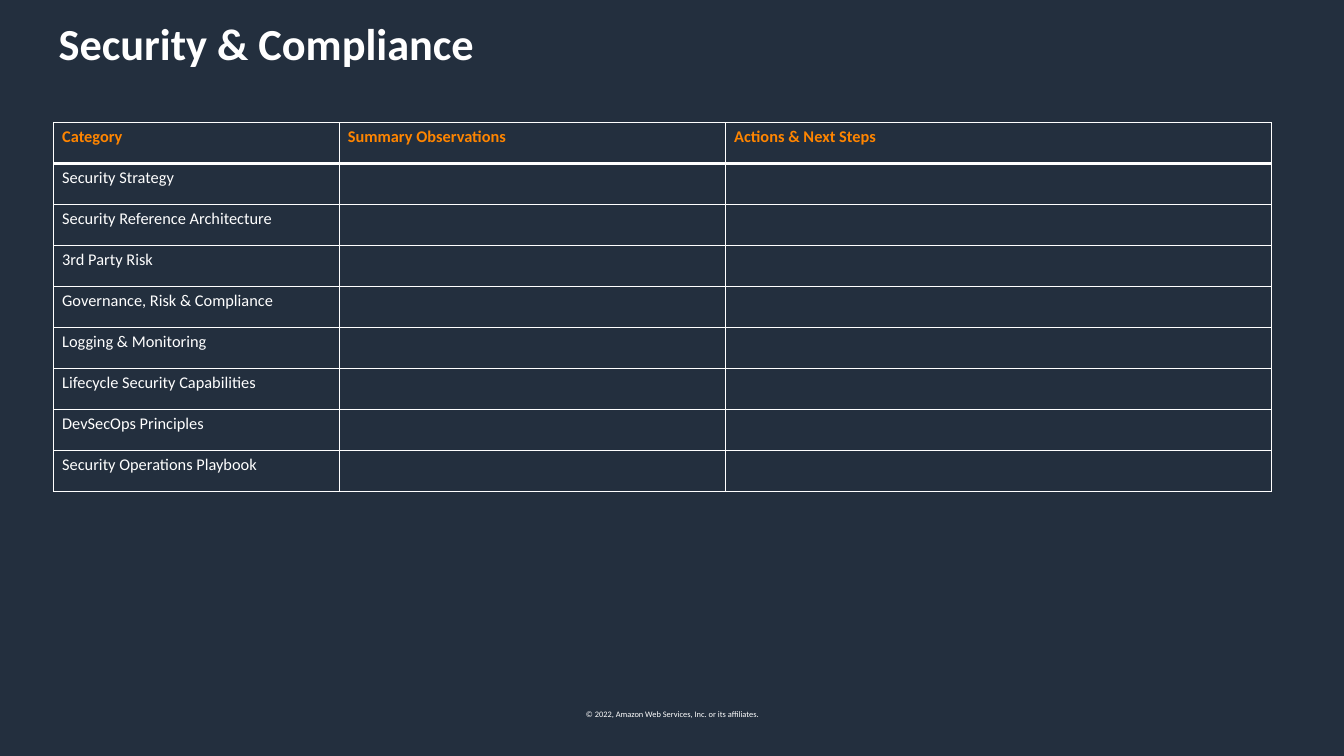
from dataclasses import dataclass

from lxml.etree import SubElement
from pptx import Presentation
from pptx.dml.color import RGBColor
from pptx.enum.text import MSO_ANCHOR, PP_ALIGN
from pptx.oxml.ns import qn
from pptx.util import Inches, Pt


@dataclass(frozen=True)
class Theme:
    font: str = "Calibri"
    back: str = "232F3E"
    ink: str = "FFFFFF"
    accent: str = "FF8500"
    title: float = 38
    body: float = 14
    small: float = 7.2
    thin: float = 1
    thick: float = 3


COLS, ROWS = 160, 90
HEADS = ["Category", "Summary Observations", "Actions & Next Steps"]
TOPICS = [
    "Security Strategy",
    "Security Reference Architecture",
    "3rd Party Risk",
    "Governance, Risk & Compliance",
    "Logging & Monitoring",
    "Lifecycle Security Capabilities",
    "DevSecOps Principles",
    "Security Operations Playbook",
]


def write(frame, text, *, font, size, color, bold=False, align=PP_ALIGN.LEFT):
    para = frame.paragraphs[0]
    para.alignment = align
    run = para.add_run()
    run.text = text
    run.font.name = font
    run.font.size = Pt(size)
    run.font.bold = bold
    run.font.color.rgb = RGBColor.from_string(color)


def edge(cell, side, color, width):
    """Draw one border; side is L, R, T or B, called in that order."""
    props = cell._tc.get_or_add_tcPr()
    line = SubElement(props, qn(f"a:ln{side}"), w=str(Pt(width)))
    fill = SubElement(line, qn("a:solidFill"))
    SubElement(fill, qn("a:srgbClr"), val=color)


class Deck:
    def __init__(self, theme):
        self.theme = theme
        self.file = Presentation()
        self.file.slide_width, self.file.slide_height = Inches(16), Inches(9)
        self.slide = self.file.slides.add_slide(self.file.slide_layouts[6])
        fill = self.slide.background.fill
        fill.solid()
        fill.fore_color.rgb = RGBColor.from_string(theme.back)

    def x(self, cols):
        return round(self.file.slide_width * cols / COLS)

    def y(self, rows):
        return round(self.file.slide_height * rows / ROWS)

    def text(self, left, top, width, height, text, wrap=True, **style):
        box = self.slide.shapes.add_textbox(
            self.x(left), self.y(top), self.x(width), self.y(height))
        frame = box.text_frame
        frame.word_wrap = wrap
        frame.vertical_anchor = MSO_ANCHOR.TOP
        write(frame, text, font=self.theme.font, color=self.theme.ink, **style)

    def table(self, left, top, widths, height, heads, topics):
        look = self.theme
        count = len(topics) + 1
        grid = self.slide.shapes.add_table(
            count, len(widths), self.x(left), self.y(top),
            self.x(sum(widths)), self.y(height * count)).table
        grid.first_row = grid.horz_banding = False
        for col, width in zip(grid.columns, widths):
            col.width = self.x(width)
        for i, row in enumerate(grid.rows):
            row.height = self.y(height)
            words = [topics[i - 1]] if i else heads
            for j, cell in enumerate(row.cells):
                for side in "LRTB":
                    rule = (i, side) in ((0, "B"), (1, "T"))
                    edge(cell, side, look.ink, look.thick if rule else look.thin)
                cell.fill.background()
                if j < len(words):
                    write(cell.text_frame, words[j], font=look.font,
                          size=look.body, bold=i == 0,
                          color=look.ink if i else look.accent)


def main():
    theme = Theme()
    deck = Deck(theme)
    deck.text(67.5, 83.9, 25.1, 2.2,
              "© 2022, Amazon Web Services, Inc. or its affiliates.",
              wrap=False, size=theme.small, align=PP_ALIGN.CENTER)
    deck.text(6, 1.4, 137.5, 9.5, "Security & Compliance",
              size=theme.title, bold=True)
    deck.table(6.4, 14.6, [34, 46, 65], 4.88, HEADS, TOPICS)
    deck.file.save("out.pptx")


if __name__ == "__main__":
    main()
